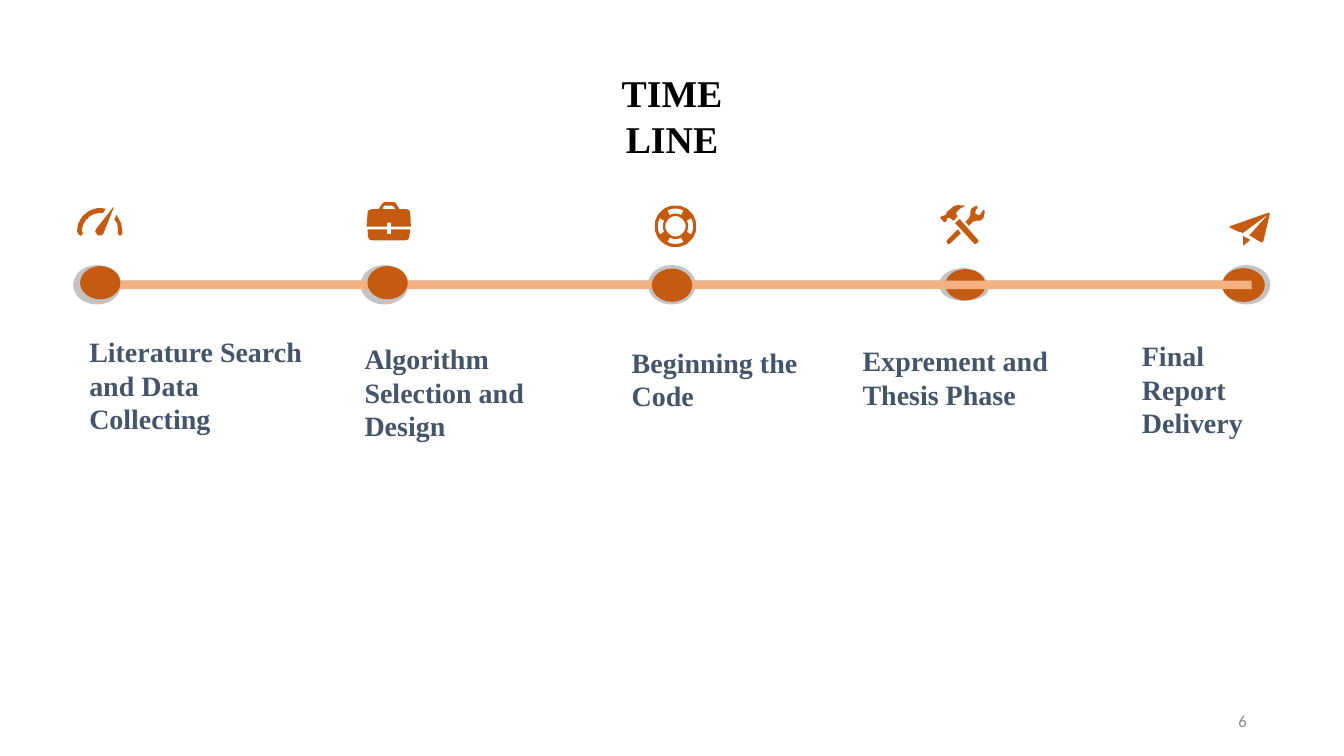
from math import cos, radians, sin

from pptx import Presentation
from pptx.dml.color import RGBColor
from pptx.enum.shapes import MSO_SHAPE as SHAPE
from pptx.enum.text import MSO_ANCHOR as ANCHOR, PP_ALIGN as ALIGN
from pptx.util import Inches, Pt

WIDTH, HEIGHT = Inches(26.66), Inches(15)
SERIF, SANS = "Times New Roman", "Calibri"

BLACK = RGBColor(0x00, 0x00, 0x00)
SLATE = RGBColor(0x44, 0x54, 0x6A)
GRAY = RGBColor(0x88, 0x88, 0x88)
SILVER = RGBColor(0xC5, 0xC2, 0xC2)
DARK_SILVER = RGBColor(0xBF, 0xBF, 0xBF)
RUST = RGBColor(0xC5, 0x5A, 0x11)
PEACH = RGBColor(0xF4, 0xB0, 0x81)

# Places and sizes are percent of the slide's width and height
PITCH, HALO_LEFT = 21.38, 5.44
HALO_W, HALO_H = 3.56, 5.2

# Label: text, left, top, width, height
LABELS = [
    ("Literature Search and Data Collecting", 5.63, 43.4, 18.9, 15.2),
    ("Algorithm Selection and Design", 26.11, 44.33, 18.9, 17.2),
    ("Beginning the Code", 45.99, 44.8, 18.9, 17.2),
    ("Exprement and Thesis Phase", 63.17, 44.6, 18.9, 17.2),
    ("Final Report Delivery", 83.95, 43.93, 10.54, 16.6),
]


def arc(cx, cy, radius, start, end, steps=24):
    """Points along a circle, angles in degrees, clockwise from the right."""
    angles = [radians(start + (end - start) * i / steps) for i in range(steps + 1)]
    return [(cx + radius * cos(a), cy + radius * sin(a)) for a in angles]


def ring_sector(cx, cy, inner, outer, start, end):
    return arc(cx, cy, outer, start, end) + arc(cx, cy, inner, end, start)


# Icon outlines in hundredths of an inch
GAUGE = [
    arc(44, 50, 46, 180, 284) + arc(44, 50, 36, 278, 180)
    + [(10, 55), (5, 59), (0, 55)],
    [(36, 45), (34, 51), (39, 58), (46, 58), (50, 55), (71, 2), (69, 3)],
    [(76, 17), (72, 27), (77, 33), (79, 42), (79, 55), (83, 59), (88, 55),
     (88, 50), (85, 33)],
]
BRIEFCASE = [
    [(41, 41), (49, 41), (49, 49), (88, 49), (87, 24), (85, 16), (79, 14),
     (65, 14), (60, 5), (57, 1), (53, 0), (35, 0), (30, 5), (24, 14),
     (10, 14), (3, 17), (2, 24), (0, 49), (41, 49)],
    [(33, 10), (35, 7), (51, 7), (55, 10), (57, 14), (32, 14)],
    [(49, 63), (41, 63), (41, 54), (2, 54), (3, 68), (5, 74), (11, 76),
     (77, 76), (83, 74), (85, 68), (87, 54), (49, 54)],
]
LIFEBUOY = [
    arc(41, 41, 41, 0, 360, 48),
    arc(41, 41, 20, 360, 0, 36),
    *[ring_sector(41, 41, 25, 35, a + 27, a - 27) for a in range(0, 360, 90)],
]
TOOLS = [
    [(14, 26), (19, 25), (25, 30), (27, 31), (33, 24), (35, 22), (32, 19),
     (32, 15), (38, 8), (50, 1), (35, 0), (27, 2), (19, 9), (13, 14),
     (12, 18), (10, 20), (3, 22), (0, 25), (7, 33), (10, 34), (13, 31)],
    [(39, 28), (38, 28), (32, 33), (30, 36), (68, 77), (71, 77), (76, 73),
     (76, 70)],
    [(88, 11), (86, 9), (82, 15), (79, 19), (76, 20), (70, 17), (70, 12),
     (74, 5), (74, 2), (72, 1), (63, 6), (60, 12), (60, 20), (57, 26),
     (50, 33), (57, 41), (65, 33), (72, 31), (80, 31), (86, 25), (88, 17)],
    [(13, 70), (13, 73), (16, 78), (19, 77), (41, 56), (35, 48)],
]
PAPER_PLANE = [
    [(79, 1), (2, 28), (2, 30), (18, 38), (29, 41), (76, 6), (77, 6),
     (43, 44), (41, 45), (43, 47), (65, 60), (69, 58), (82, 3)],
    [(29, 64), (30, 66), (43, 55), (29, 47)],
]
# Icon: outlines, left, top
ICONS = [
    (GAUGE, 5.81, 27.27), (BRIEFCASE, 27.27, 26.73), (LIFEBUOY, 48.72, 27.2),
    (TOOLS, 69.95, 27.13), (PAPER_PLANE, 91.41, 28.07),
]


def across(share):
    return round(WIDTH * share / 100)


def down(share):
    return round(HEIGHT * share / 100)


def box(x, y, w, h):
    return across(x), down(y), across(w), down(h)


def paint(sp, color):
    sp.fill.solid()
    sp.fill.fore_color.rgb = color
    sp.line.fill.background()
    sp.shadow.inherit = False


def add_bar(s, x, y, w, h, color):
    paint(s.shapes.add_shape(SHAPE.RECTANGLE, *box(x, y, w, h)), color)


def add_oval(s, x, y, w, h, color):
    paint(s.shapes.add_shape(SHAPE.OVAL, *box(x, y, w, h)), color)


def add_icon(s, outlines, x, y):
    first, *others = outlines
    builder = s.shapes.build_freeform(*first[0], scale=Inches(0.01))
    builder.add_line_segments(first[1:], close=True)
    for outline in others:
        builder.move_to(*outline[0])
        builder.add_line_segments(outline[1:], close=True)
    paint(builder.convert_to_shape(across(x), down(y)), RUST)


def add_text(s, text, x, y, w, h, size=40, font=SERIF, color=SLATE, bold=True,
             align=ALIGN.LEFT, anchor=ANCHOR.TOP, inset=(0.1, 0.05)):
    tf = s.shapes.add_textbox(*box(x, y, w, h)).text_frame
    tf.word_wrap = True
    tf.vertical_anchor = anchor
    tf.margin_left = tf.margin_right = Inches(inset[0])
    tf.margin_top = tf.margin_bottom = Inches(inset[1])
    p = tf.paragraphs[0]
    p.alignment = align
    r = p.add_run()
    r.text = text
    r.font.size, r.font.name, r.font.bold = Pt(size), font, bold
    r.font.color.rgb = color


def main():
    prs = Presentation()
    prs.slide_width, prs.slide_height = WIDTH, HEIGHT
    s = prs.slides.add_slide(prs.slide_layouts[6])

    # Silver track and halos; the fourth halo is a stack of flat ovals
    add_bar(s, 8.48, 37.07, 84.02, 1.13, SILVER)
    for column in (0, 1, 2, 4):
        add_oval(s, HALO_LEFT + column * PITCH, 35.07, HALO_W, HALO_H, SILVER)
    for x, y, h, color in [(69.84, 36.07, 2.87, SILVER),
                           (69.77, 36.2, 2.87, DARK_SILVER),
                           (69.99, 36.87, 2.87, SILVER),
                           (69.88, 35.47, 4.33, SILVER)]:
        add_oval(s, x, y, HALO_W, h, color)

    # The last two dots lie under the time line, the first three over it
    add_oval(s, 90.92, 35.47, 3.19, 4.47, RUST)
    add_oval(s, 70.33, 35.6, 3, 4.13, RUST)
    add_bar(s, 8.36, 37.13, 84.77, 1.13, PEACH)
    for x, y in [(5.96, 35.2), (27.34, 35.2), (48.5, 35.53)]:
        add_oval(s, x, y, 3, 4.4, RUST)

    # Title, stage labels and icons
    add_text(s, "TIME LINE", 43.29, 8.93, 13.43, 12.8, size=54, color=BLACK,
             align=ALIGN.CENTER)
    for text, *place in LABELS:
        add_text(s, text, *place, inset=(0.27, 0.13))
    for outlines, x, y in ICONS:
        add_icon(s, outlines, x, y)

    # Slide number
    add_text(s, "6", 70.63, 92.67, 22.51, 5.33, size=24, font=SANS, color=GRAY,
             bold=False, align=ALIGN.RIGHT, anchor=ANCHOR.MIDDLE)

    prs.save("out.pptx")


if __name__ == "__main__":
    main()
